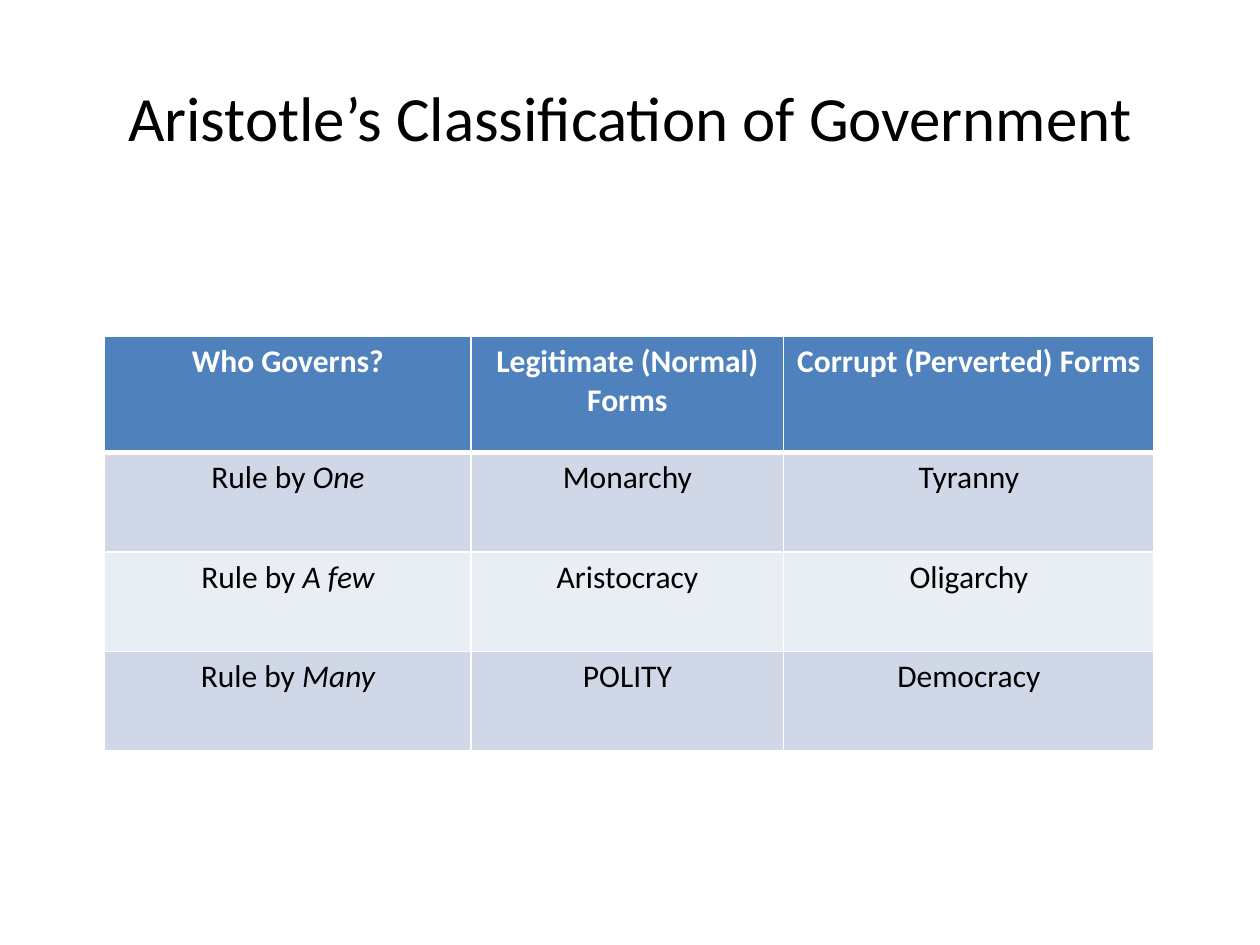
"""Build a slide with a table of Aristotle's forms of government."""
from typing import NamedTuple

from lxml.etree import SubElement
from pptx import Presentation
from pptx.dml.color import RGBColor
from pptx.enum.text import MSO_ANCHOR as Anchor, PP_ALIGN as Align
from pptx.oxml.ns import qn
from pptx.util import Inches, Pt

COLORS = {
    "white": "FFFFFF",
    "black": "000000",
    "header": "4F81BD",
    "odd_row": "D0D8E8",
    "even_row": "E9EDF4",
}
FONT = "Calibri"
COLUMN_WIDTHS = (2.91, 2.48, 2.94)
HEADER_HEIGHT = 0.92
BODY_HEIGHT = 0.79
HEADINGS = ("Who Governs?", "Legitimate (Normal) Forms", "Corrupt (Perverted) Forms")


class Rule(NamedTuple):
    rulers: str
    legitimate: str
    corrupt: str


RULES = (
    Rule("One", "Monarchy", "Tyranny"),
    Rule("A few", "Aristocracy", "Oligarchy"),
    Rule("Many", "POLITY", "Democracy"),
)


def color(name: str) -> RGBColor:
    """Return the named colour."""
    return RGBColor.from_string(COLORS[name])


def write(paragraph, text: str, size: int, ink: str, bold: bool = False, emphasis: str = "") -> None:
    """Write centred text, ending in an optional italic part."""
    paragraph.alignment = Align.CENTER
    paragraph.font.name = FONT
    paragraph.font.size = Pt(size)
    paragraph.font.bold = bold
    paragraph.font.color.rgb = color(ink)
    paragraph.add_run().text = text
    if emphasis:
        run = paragraph.add_run()
        run.text = emphasis
        run.font.italic = True


def add_borders(cell, top: int, bottom: int) -> None:
    """Draw white borders around a cell, with widths in points."""
    properties = cell._tc.get_or_add_tcPr()
    for side, width in (("L", 1), ("R", 1), ("T", top), ("B", bottom)):
        line = SubElement(properties, qn(f"a:ln{side}"), w=str(Pt(width)))
        fill = SubElement(line, qn("a:solidFill"))
        SubElement(fill, qn("a:srgbClr"), val=COLORS["white"])


def add_title(slide, text: str) -> None:
    """Add the centred title."""
    frame = slide.shapes.add_textbox(Inches(0.5), Inches(0.3), Inches(9), Inches(1.25)).text_frame
    frame.word_wrap = True
    frame.vertical_anchor = Anchor.MIDDLE
    write(frame.paragraphs[0], text, 36, "black")


def add_rule_table(slide) -> None:
    """Add the table of legitimate and corrupt forms."""
    height = HEADER_HEIGHT + BODY_HEIGHT * len(RULES)
    table = slide.shapes.add_table(
        len(RULES) + 1, len(HEADINGS), Inches(0.83), Inches(2.67),
        Inches(sum(COLUMN_WIDTHS)), Inches(height),
    ).table
    for column, width in zip(table.columns, COLUMN_WIDTHS):
        column.width = Inches(width)
    for index, row in enumerate(table.rows):
        row.height = Inches(BODY_HEIGHT if index else HEADER_HEIGHT)
        band = ("odd_row" if index % 2 else "even_row") if index else "header"
        for cell in row.cells:
            add_borders(cell, top=3 if index == 1 else 1, bottom=1 if index else 3)
            cell.fill.solid()
            cell.fill.fore_color.rgb = color(band)
    for column, heading in enumerate(HEADINGS):
        write(table.cell(0, column).text_frame.paragraphs[0], heading, 18, "white", bold=True)
    for index, rule in enumerate(RULES, start=1):
        first, second, third = (table.cell(index, column).text_frame.paragraphs[0] for column in range(3))
        write(first, "Rule by ", 18, "black", emphasis=rule.rulers)
        write(second, rule.legitimate, 18, "black")
        write(third, rule.corrupt, 18, "black")


def main() -> None:
    """Build and save the presentation."""
    presentation = Presentation()
    presentation.slide_width = Inches(10)
    presentation.slide_height = Inches(7.5)
    slide = presentation.slides.add_slide(presentation.slide_layouts[6])
    add_title(slide, "Aristotle’s Classification of Government")
    add_rule_table(slide)
    presentation.save("out.pptx")


if __name__ == "__main__":
    main()
